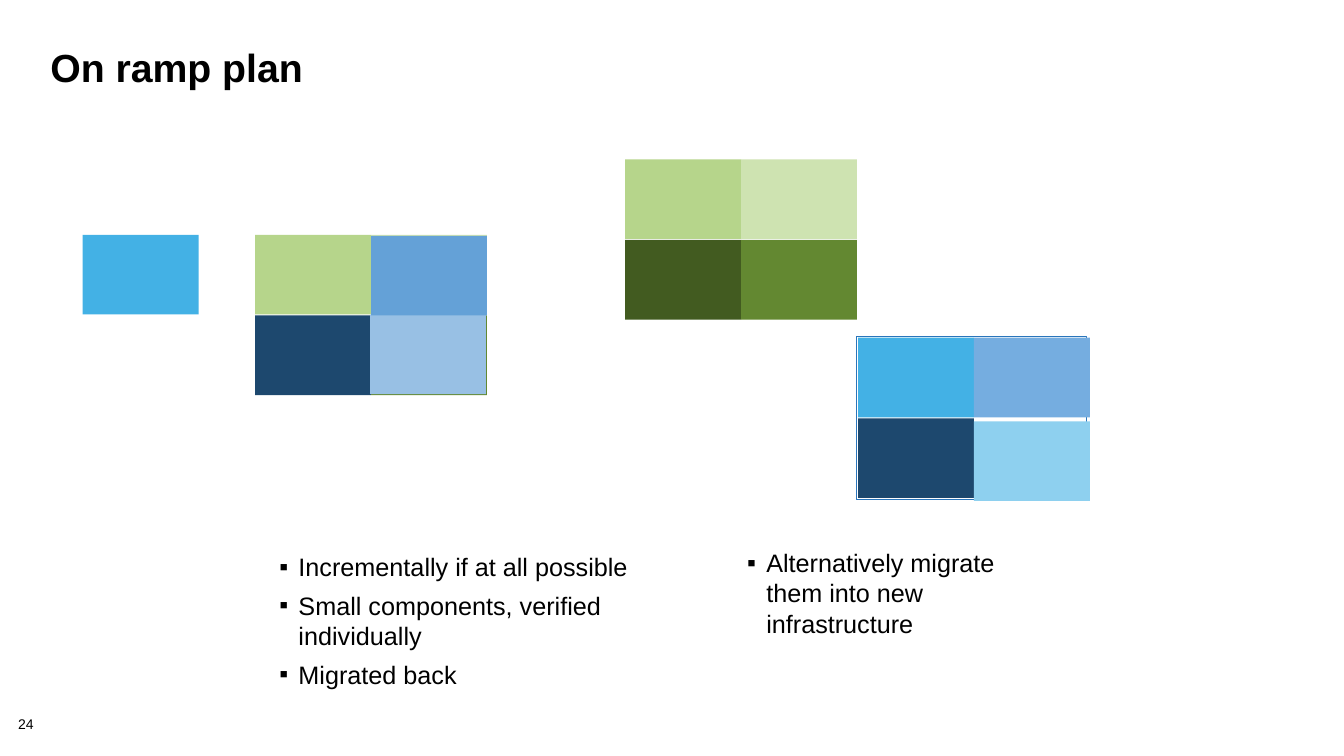
import pptx
import pptx.dml.color
import pptx.enum.shapes
import pptx.enum.text
import pptx.oxml
import pptx.oxml.ns
import pptx.util
from pptx.dml.color import RGBColor
from pptx.util import Inches

BLACK = RGBColor(0x00, 0x00, 0x00)
WHITE = RGBColor(0xFF, 0xFF, 0xFF)
LIGHT_GREEN = RGBColor(0xB6, 0xD5, 0x8B)
PALE_GREEN = RGBColor(0xCE, 0xE3, 0xB1)
GREEN = RGBColor(0x63, 0x88, 0x31)
DARK_GREEN = RGBColor(0x42, 0x5B, 0x20)
SKY = RGBColor(0x43, 0xB1, 0xE5)
PALE_SKY = RGBColor(0x8E, 0xD0, 0xEF)
NAVY = RGBColor(0x1D, 0x48, 0x6E)
PALE_BLUE = RGBColor(0x98, 0xC0, 0xE4)
MID_BLUE = RGBColor(0x64, 0xA1, 0xD7)
SOFT_BLUE = RGBColor(0x75, 0xAD, 0xE0)
FRAME_BLUE = RGBColor(0x2A, 0x75, 0xBB)

FONT = "Arial"
TILE_WIDTH, TILE_HEIGHT = 1.15, 0.79
ROW_PITCH = 0.8


def place(part, left, top, width, height):
    part.left, part.top = Inches(left), Inches(top)
    part.width, part.height = Inches(width), Inches(height)


def format_text(frame, size, bold=False):
    frame.word_wrap = True
    frame.auto_size = pptx.enum.text.MSO_AUTO_SIZE.NONE
    frame.vertical_anchor = pptx.enum.text.MSO_ANCHOR.TOP
    for paragraph in frame.paragraphs:
        paragraph.alignment = pptx.enum.text.PP_ALIGN.LEFT
        for run in paragraph.runs:
            run.font.name = FONT
            run.font.size = pptx.util.Pt(size)
            run.font.bold = bold
            run.font.color.rgb = BLACK


def set_insets(frame, bottom=0):
    frame.margin_left = frame.margin_top = frame.margin_right = 0
    frame.margin_bottom = Inches(bottom)


def add_heading(slide, left, top, width, height):
    heading = slide.shapes.title
    place(heading, left, top, width, height)
    heading.text_frame.text = "On ramp plan"
    heading.text_frame.paragraphs[0].line_spacing = 0.85
    format_text(heading.text_frame, 28, bold=True)


def add_page_number(slide, left, top, width, height):
    page_number = slide.shapes.add_textbox(
        Inches(left), Inches(top), Inches(width), Inches(height))
    frame = page_number.text_frame
    set_insets(frame)
    frame.text = "24"
    frame.paragraphs[0].line_spacing = 0.9
    format_text(frame, 10)


def add_bullet(paragraph):
    properties = paragraph._p.get_or_add_pPr()
    properties.set("marL", str(Inches(0.19)))
    properties.set("indent", str(-Inches(0.19)))
    for tag, attribute, value in (("buFont", "typeface", FONT), ("buChar", "char", "▪")):
        bullet = pptx.oxml.parse_xml(
            f'<a:{tag} {pptx.oxml.ns.nsdecls("a")} {attribute}="{value}"/>')
        properties.append(bullet)


def fill_bullets(notes, left, top, width, height, items):
    place(notes, left, top, width, height)
    frame = notes.text_frame
    set_insets(frame, bottom=0.05)
    frame.text = "\n".join(items)
    for index, paragraph in enumerate(frame.paragraphs):
        add_bullet(paragraph)
        paragraph.space_before = pptx.util.Pt(6 if index else 0)
    format_text(frame, 18)


def add_tile(slide, left, top, fill, width=TILE_WIDTH, height=TILE_HEIGHT):
    tile = slide.shapes.add_shape(
        pptx.enum.shapes.MSO_SHAPE.RECTANGLE,
        Inches(left), Inches(top), Inches(width), Inches(height))
    tile.shadow.inherit = False
    tile.fill.solid()
    tile.fill.fore_color.rgb = fill
    tile.line.fill.background()
    return tile


def add_tile_block(slide, left, top, fills):
    for index, fill in enumerate(fills):
        row, column = divmod(index, 2)
        add_tile(slide, left + column * TILE_WIDTH, top + row * ROW_PITCH, fill)


def add_incremental_system(slide, left, top):
    add_tile_block(slide, left, top, [LIGHT_GREEN, PALE_GREEN, NAVY, GREEN])
    add_tile(slide, left + 1.14, top + 0.79, PALE_BLUE)
    add_tile(slide, left + 1.15, top + 0.01, MID_BLUE)


def add_new_infrastructure(slide, left, top, width, height):
    frame = add_tile(slide, left, top, WHITE, width, height)
    frame.line.color.rgb = FRAME_BLUE
    frame.line.width = pptx.util.Pt(0.75)
    add_tile_block(slide, left + 0.02, top + 0.01, [SKY, SOFT_BLUE, NAVY])
    add_tile(slide, left + 1.17, top + 0.84, PALE_SKY)


def main():
    deck = pptx.Presentation()
    deck.slide_width, deck.slide_height = Inches(13.33), Inches(7.5)
    slide = deck.slides.add_slide(deck.slide_layouts[3])
    add_page_number(slide, 0.18, 7.12, 0.56, 0.16)
    add_heading(slide, 0.4, 0.45, 12.44, 0.56)
    fill_bullets(slide.placeholders[1], 2.77, 5.47, 3.74, 1.61, [
        "Incrementally if at all possible",
        "Small components, verified individually",
        "Migrated back",
    ])
    fill_bullets(slide.placeholders[2], 7.41, 5.43, 2.75, 1.77, [
        "Alternatively migrate them into new infrastructure",
    ])
    add_tile(slide, 0.82, 2.33, SKY)
    add_incremental_system(slide, 2.53, 2.33)
    add_tile_block(slide, 6.2, 1.58, [LIGHT_GREEN, PALE_GREEN, DARK_GREEN, GREEN])
    add_new_infrastructure(slide, 8.49, 3.34, 2.29, 1.62)
    deck.save("out.pptx")


if __name__ == "__main__":
    main()
